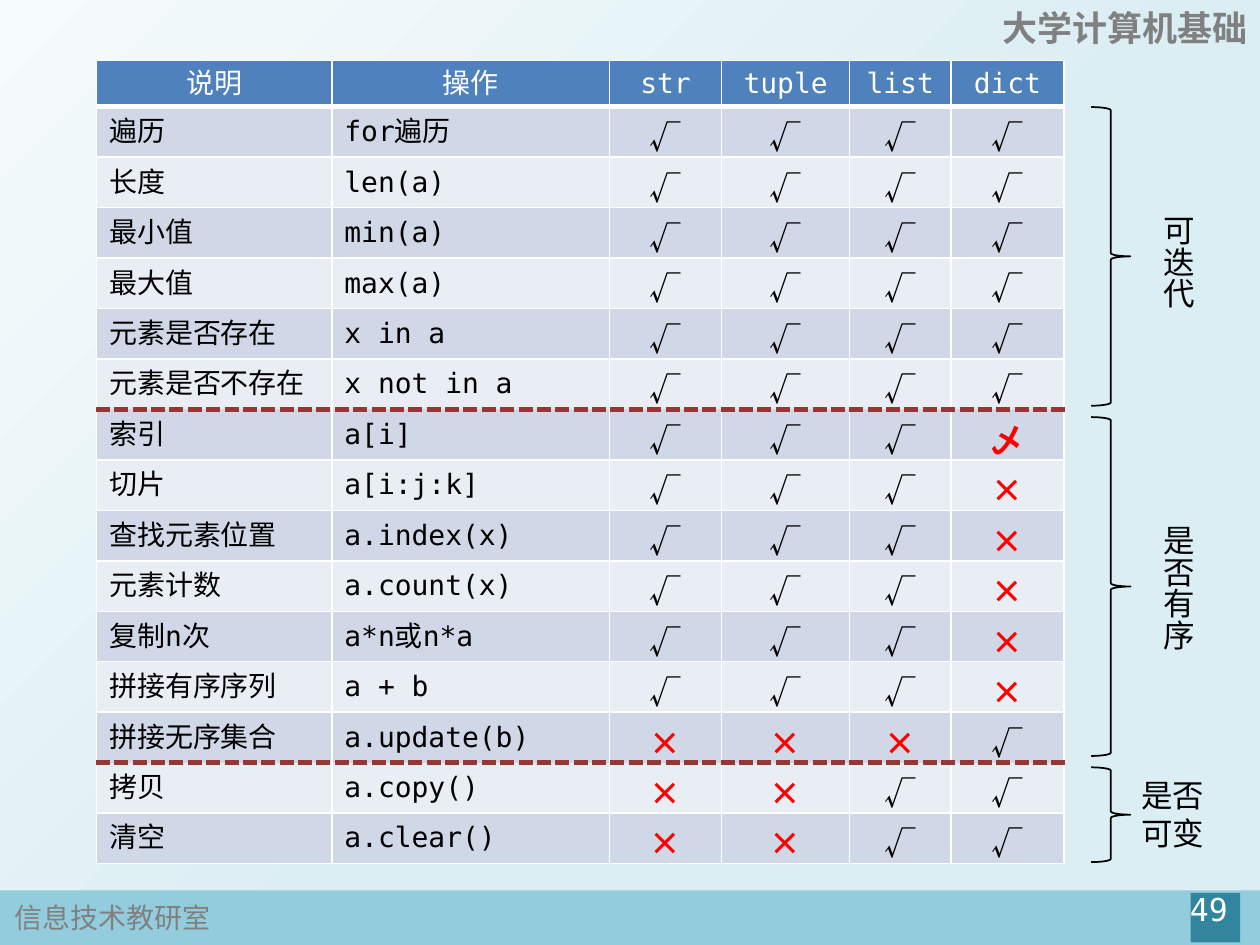
from math import cos, radians, sin

from lxml import etree
from pptx import Presentation
from pptx.dml.color import RGBColor
from pptx.enum.shapes import MSO_SHAPE
from pptx.enum.text import MSO_ANCHOR, PP_ALIGN
from pptx.oxml.ns import qn
from pptx.util import Cm, Pt

LEFT, CENTER, RIGHT = PP_ALIGN.LEFT, PP_ALIGN.CENTER, PP_ALIGN.RIGHT
MIDDLE = MSO_ANCHOR.MIDDLE
RECTANGLE, LEFT_BRACE = MSO_SHAPE.RECTANGLE, MSO_SHAPE.LEFT_BRACE

MONO, CJK, SYMBOL = "DejaVu Sans Mono", "Noto Sans CJK JP", "Noto Sans CJK SC"
BLACK, WHITE, GRAY, RED = "000000", "FFFFFF", "808080", "FF0000"
THIN, THICK, DASHED = (WHITE, 1, "solid"), (WHITE, 3, "solid"), ("953735", 3, "sysDash")

COLUMN_WIDTHS = [4.74, 5.6, 2.26, 2.58, 2.04, 2.28]
HEADER = ["说明", "操作", "str", "tuple", "list", "dict"]
OPERATIONS = [
    ("遍历", "for遍历", "√√√√"),
    ("长度", "len(a)", "√√√√"),
    ("最小值", "min(a)", "√√√√"),
    ("最大值", "max(a)", "√√√√"),
    ("元素是否存在", "x in a", "√√√√"),
    ("元素是否不存在", "x not in a", "√√√√"),
    ("索引", "a[i]", "√√√乄"),
    ("切片", "a[i:j:k]", "√√√×"),
    ("查找元素位置", "a.index(x)", "√√√×"),
    ("元素计数", "a.count(x)", "√√√×"),
    ("复制n次", "a*n或n*a", "√√√×"),
    ("拼接有序序列", "a + b", "√√√×"),
    ("拼接无序集合", "a.update(b)", "×××√"),
    ("拷贝", "a.copy()", "××√√"),
    ("清空", "a.clear()", "××√√"),
]
GROUP_ENDS = (6, 13)


def rgb(value):
    return RGBColor.from_string(value)


def arc(x, y, radius, start, end, steps=8):
    """Return points along an arc, angles in degrees running clockwise."""
    angles = [radians(start + (end - start) * i / steps) for i in range(steps + 1)]
    return [(x + radius * cos(a), y + radius * sin(a)) for a in angles]


def style_paragraph(paragraph, size, color, font=MONO, bold=False, align=LEFT):
    paragraph.alignment = align
    for run in paragraph.runs:
        run.font.size, run.font.bold, run.font.name = Pt(size), bold, font
        run.font.color.rgb = rgb(color)
        etree.SubElement(run.font._element, qn("a:ea"), typeface=font)


def set_borders(cell, top, bottom):
    properties = cell._tc.get_or_add_tcPr()
    for side, (color, width, dash) in zip("LRTB", (THIN, THIN, top, bottom)):
        line = etree.SubElement(properties, qn(f"a:ln{side}"), w=str(Pt(width)))
        fill = etree.SubElement(line, qn("a:solidFill"))
        etree.SubElement(fill, qn("a:srgbClr"), val=color)
        etree.SubElement(line, qn("a:prstDash"), val=dash)


class SlideBuilder:
    def __init__(self, slide):
        self.slide = slide
        self.shapes = slide.shapes

    def background(self, start, end, end_position):
        fill = self.slide.background.fill
        fill.gradient()
        fill.gradient_angle = 315
        for stop, color, position in zip(fill.gradient_stops, (start, end), (0, end_position)):
            stop.color.rgb = rgb(color)
            stop.position = position

    def paint(self, shape, color):
        shape.shadow.inherit = False
        shape.fill.solid()
        shape.fill.fore_color.rgb = rgb(color)
        shape.line.fill.background()

    def bar(self, left, top, width, height, color):
        bar = self.shapes.add_shape(RECTANGLE, Cm(left), Cm(top), Cm(width), Cm(height))
        self.paint(bar, color)

    def outline(self, contours, color):
        first, *others = contours
        builder = self.shapes.build_freeform(*first[0], scale=Cm(1))
        builder.add_line_segments(first[1:])
        for contour in others:
            builder.move_to(*contour[0])
            builder.add_line_segments(contour[1:])
        self.paint(builder.convert_to_shape(), color)

    def text(self, left, top, width, height, words, size, color, wrap=True, vertical=False, **style):
        frame = self.shapes.add_textbox(Cm(left), Cm(top), Cm(width), Cm(height)).text_frame
        frame.word_wrap = wrap
        if vertical:
            frame._txBody.bodyPr.set("vert", "eaVert")
        frame.text = words
        style_paragraph(frame.paragraphs[0], size, color, **style)

    def brace(self, top, height):
        """Draw a brace that opens towards the table."""
        brace = self.shapes.add_shape(LEFT_BRACE, Cm(22), Cm(top), Cm(0.79), Cm(height))
        brace._element.spPr.xfrm.set("flipH", "1")
        brace.shadow.inherit = False
        brace.fill.background()
        brace.line.color.rgb = rgb(BLACK)
        brace.line.width = Pt(1)

    def cell(self, cell, words, fill, size, color, **style):
        cell.fill.solid()
        cell.fill.fore_color.rgb = rgb(fill)
        cell.vertical_anchor = MIDDLE
        cell.text = words
        style_paragraph(cell.text_frame.paragraphs[0], size, color, **style)

    def operations_table(self, left, top, header_height, body_height):
        rows = len(OPERATIONS) + 1
        table = self.shapes.add_table(
            rows, len(HEADER), Cm(left), Cm(top),
            Cm(sum(COLUMN_WIDTHS)), Cm(header_height + body_height)).table
        for column, width in zip(table.columns, COLUMN_WIDTHS):
            column.width = Cm(width)
        for row in table.rows:
            row.height = Cm(body_height / len(OPERATIONS))
        table.rows[0].height = Cm(header_height)

        for cell, title in zip(table.rows[0].cells, HEADER):
            set_borders(cell, THIN, THICK)
            self.cell(cell, title, "4F81BD", 16, WHITE, align=CENTER)
        for number, (meaning, code, marks) in enumerate(OPERATIONS, 1):
            fill = "D0D8E8" if number % 2 else "E9EDF4"
            for cell, words in zip(table.rows[number].cells, (meaning, code, *marks)):
                if number in GROUP_ENDS:
                    set_borders(cell, THIN, DASHED)
                elif number - 1 in GROUP_ENDS:
                    set_borders(cell, DASHED, THIN)
                if words in (meaning, code):
                    self.cell(cell, words, fill, 16, BLACK)
                else:
                    missing = words != "√"
                    self.cell(cell, words, fill, 18, RED if missing else BLACK,
                              font=SYMBOL, bold=missing, align=CENTER)


def main():
    deck = Presentation()
    deck.slide_width, deck.slide_height = Cm(25.4), Cm(19.05)
    page = SlideBuilder(deck.slides.add_slide(deck.slide_layouts[6]))

    page.background("F6FBFC", "DBEEF4", 0.56)
    page.bar(0, 17.95, 25.4, 1.1, "93CDDD")
    curl = arc(25.1, 17.73, 0.2, 180, 360) + [(25.3, 17.95), (24.9, 17.95)]
    ribbon = (arc(24.15, 17.77, 0.24, 180, 270) + arc(24.97, 17.68, 0.15, 270, 180)
              + [(24.82, 19.02), (24.36, 18.83), (23.91, 19.02)])
    page.outline([curl + curl[:1], ribbon + ribbon[:1]], "31859C")

    page.text(0.05, 18.03, 4.5, 0.94, "信息技术教研室", 16, GRAY, wrap=False, font=CJK)
    page.text(19.89, 0, 5.51, 1.12, "大学计算机基础", 20, GRAY, font=CJK, bold=True, align=RIGHT)
    page.text(23.47, 17.81, 1.8, 1.02, "49", 18, WHITE, align=CENTER)

    page.operations_table(1.95, 1.22, 0.93, 15.24)

    for top, height in ((2.16, 6.02), (8.41, 6.83), (15.47, 1.91)):
        page.brace(top, height)
    page.text(22.99, 4.09, 1.27, 2.18, "可迭代", 18, BLACK, wrap=False, vertical=True)
    page.text(22.99, 10.34, 1.27, 2.82, "是否有序", 18, BLACK, wrap=False, vertical=True)
    page.text(22.76, 15.52, 2.06, 1.8, "是否可变", 18, BLACK)

    deck.save("out.pptx")


if __name__ == "__main__":
    main()
